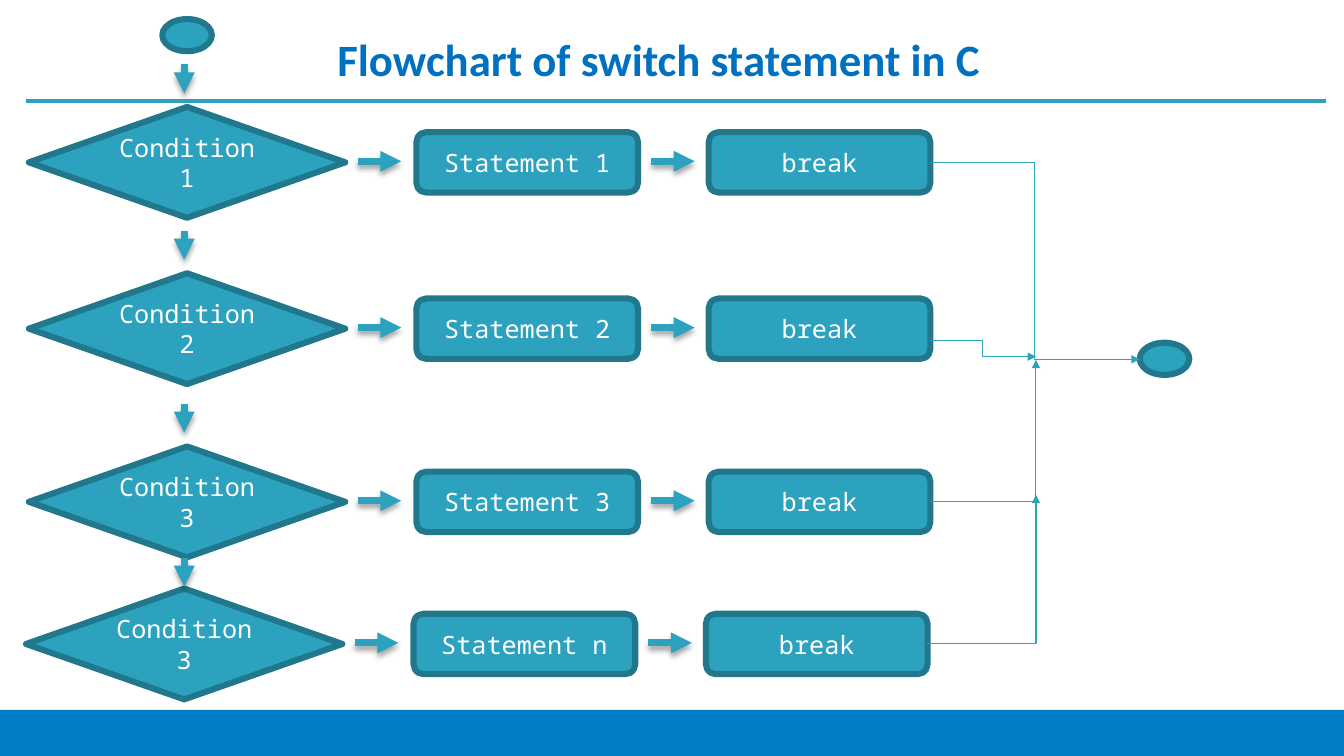
from lxml.etree import SubElement
from pptx import Presentation
from pptx.dml.color import RGBColor
from pptx.enum.shapes import MSO_CONNECTOR, MSO_SHAPE
from pptx.enum.text import MSO_ANCHOR, PP_ALIGN
from pptx.oxml.ns import qn
from pptx.util import Pt


def color(hex_code):
    return RGBColor.from_string(hex_code)


def write(frame, text, size=18, font="Noto Sans Mono", fill="FFFFFF",
          bold=False, align=PP_ALIGN.CENTER):
    frame.word_wrap = True
    frame.vertical_anchor = MSO_ANCHOR.MIDDLE
    para = frame.paragraphs[0]
    para.alignment = align
    run = para.add_run()
    run.text = text
    run.font.size, run.font.name, run.font.bold = Pt(size), font, bold
    run.font.color.rgb = color(fill)


class Chart:
    main, edge, bar, title = "2DA2BF", "21788D", "007EC5", "0070C0"

    def __init__(self, slide):
        self.shapes = slide.shapes

    def node(self, kind, x, y, w, h, text=""):
        shape = self.block(kind, x, y, w, h, self.main)
        shape.line.color.rgb = color(self.edge)
        shape.line.width = Pt(4.33)
        if text:
            write(shape.text_frame, text)

    def block(self, kind, x, y, w, h, fill):
        """Add a filled shape without an outline."""
        shape = self.shapes.add_shape(kind, Pt(x), Pt(y), Pt(w), Pt(h))
        shape.shadow.inherit = False
        shape.fill.solid()
        shape.fill.fore_color.rgb = color(fill)
        shape.line.fill.background()
        return shape

    def line(self, start, end, width, kind=MSO_CONNECTOR.STRAIGHT, head=True):
        """Add a connector and return it with its empty effect list."""
        link = self.shapes.add_connector(kind, *map(Pt, start + end))
        link.line.color.rgb = color(self.main)
        link.line.width = Pt(width)
        if head:
            SubElement(link.line._ln, qn("a:tailEnd"), type="triangle")
        return link, SubElement(link._element.spPr, qn("a:effectLst"))

    def arrow(self, start, end):
        effects = self.line(start, end, 5)[1]
        shadow = SubElement(effects, qn("a:outerShdw"), blurRad=str(Pt(4)),
                            dist=str(Pt(3)), dir="5400000", rotWithShape="0")
        black = SubElement(shadow, qn("a:srgbClr"), val="000000")
        SubElement(black, qn("a:alpha"), val="35000")

    def elbow(self, start, end, bends=2):
        link = self.line(start, end, 0.75, MSO_CONNECTOR.ELBOW)[0]
        geom = link._element.spPr.find(qn("a:prstGeom"))
        geom.set("prst", f"bentConnector{bends + 1}")

    def heading(self, text, x, y, w, h):
        box = self.shapes.add_textbox(Pt(x), Pt(y), Pt(w), Pt(h))
        write(box.text_frame, text, size=32, font="Calibri",
              fill=self.title, bold=True, align=PP_ALIGN.LEFT)


def main():
    deck = Presentation()
    deck.slide_width, deck.slide_height = Pt(960), Pt(540)
    chart = Chart(deck.slides.add_slide(deck.slide_layouts[6]))

    chart.block(MSO_SHAPE.RECTANGLE, 0, 507, 960, 33, chart.bar)
    chart.line((18.7, 72), (947.5, 72), 3, head=False)
    chart.heading("Flowchart of switch statement in C", 234, 13, 492.5, 57.6)

    # Each row: middle, shift to the right, start of the arrow above, texts
    rows = [
        (116, 0, 46, "Condition1", "Statement 1"),
        (234.8, 0, 164.8, "Condition2", "Statement 2"),
        (358.5, 0, 288.3, "Condition3", "Statement 3"),
        (460, -2, 398.3, "Condition3", "Statement n"),
    ]
    for mid, shift, top, test, action in rows:
        chart.node(MSO_SHAPE.FLOWCHART_DECISION,
                   20.6 + shift, mid - 39.6, 226, 79.2, test)
        for x, text in ((297.4, action), (506.2, "break")):
            chart.node(MSO_SHAPE.ROUNDED_RECTANGLE,
                       x + shift, mid - 21.6, 158.4, 43.2, text)
        for x in (255.6, 465.2):
            chart.arrow((x + shift, mid - 0.8), (x + shift + 31, mid - 0.8))
        chart.arrow((131.6, top), (131.6, top + 20.7))

    for x, y in ((115.9, 13.6), (814.1, 244.8)):
        chart.node(MSO_SHAPE.OVAL, x, y, 35.4, 23)

    chart.elbow((664.2, 116), (814.1, 256.7))
    chart.elbow((664.2, 243.3), (740, 254.8))
    chart.elbow((664.2, 358.5), (740, 257), bends=1)
    chart.elbow((662.2, 460), (740, 353.5), bends=1)
    deck.save("out.pptx")


if __name__ == "__main__":
    main()
